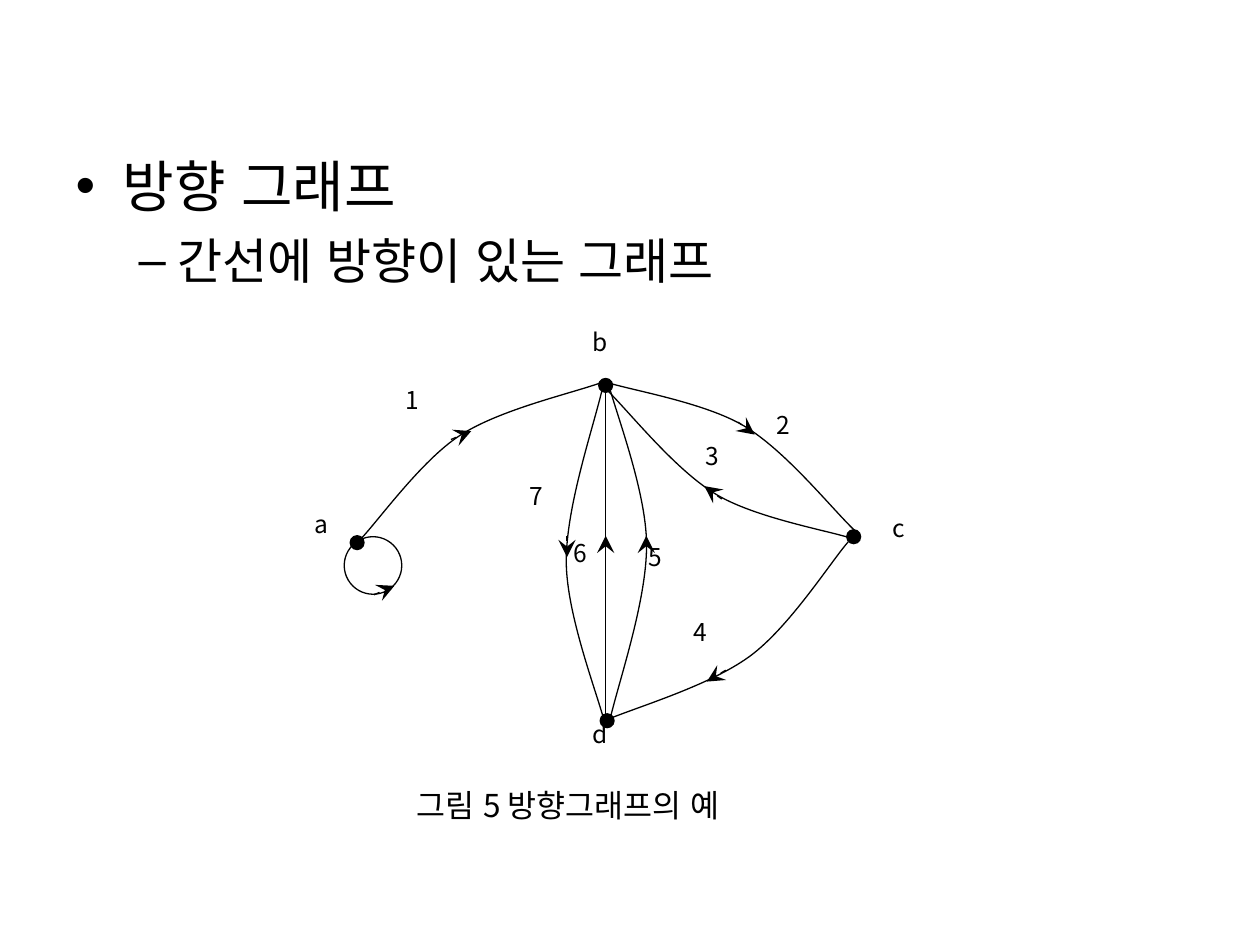
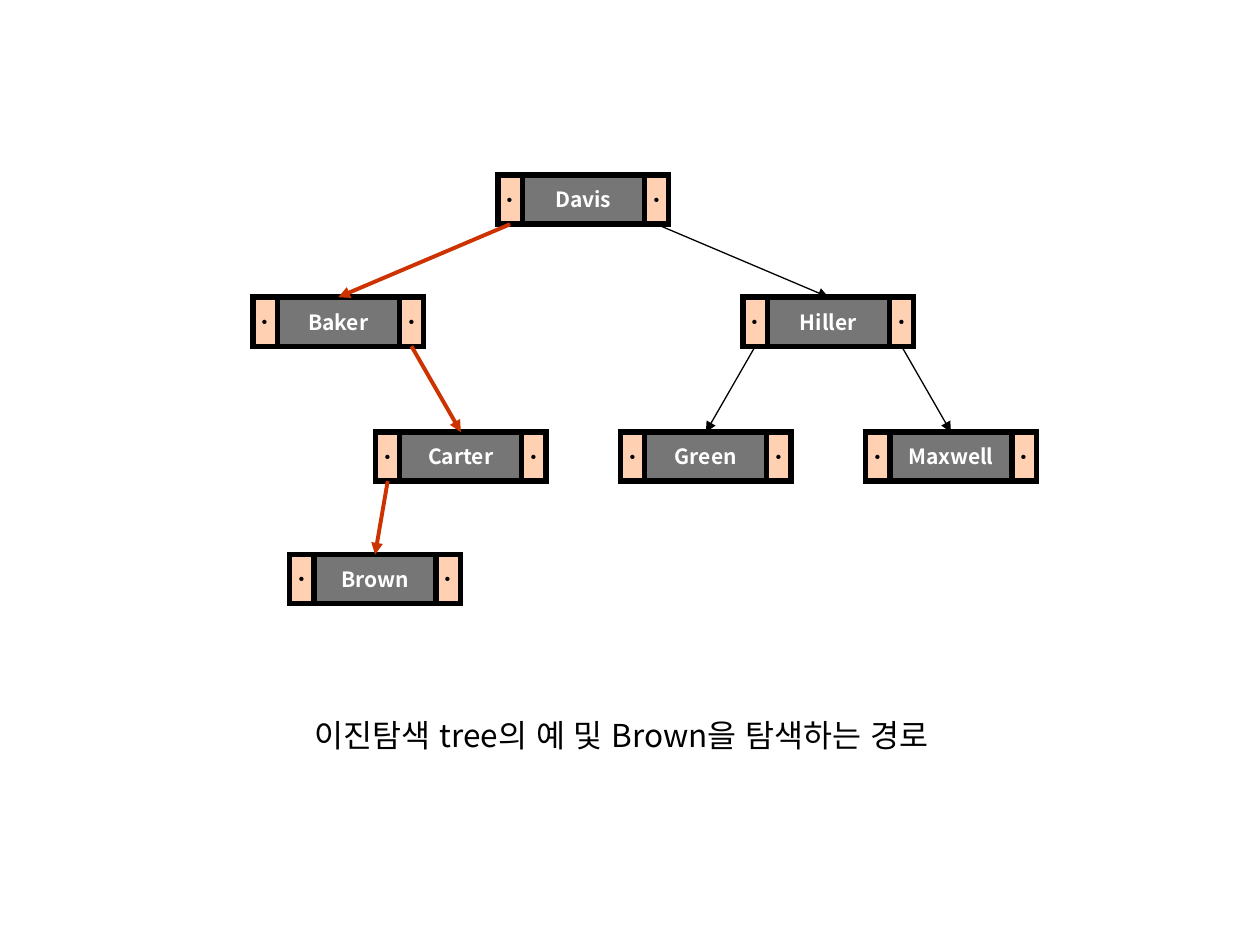
from lxml import etree
from pptx import Presentation
from pptx.dml.color import RGBColor
from pptx.enum.shapes import MSO_CONNECTOR, MSO_SHAPE
from pptx.enum.text import MSO_ANCHOR, MSO_AUTO_SIZE, PP_ALIGN
from pptx.oxml.ns import qn
from pptx.util import Cm, Pt

STRAIGHT = MSO_CONNECTOR.STRAIGHT
OVAL, RECTANGLE = MSO_SHAPE.OVAL, MSO_SHAPE.RECTANGLE
CENTER, MIDDLE = PP_ALIGN.CENTER, MSO_ANCHOR.MIDDLE
BOTTOM_SIDE, TOP_SIDE = 2, 0

FONT = "Noto Sans CJK KR"
COLORS = {"ink": "000000", "paper": "FFFFFF", "pointer": "FF6600",
          "name": "333333", "path": "CC3300"}
THIN, BORDER, BOLD_LINE = 0.75, 3, 2.25

BULLETS = [
    {"text": "방향 그래프", "level": 0, "bullet": "•", "size": 32,
     "indent": 0.95, "hang": 0.95, "before": 0},
    {"text": "간선에 방향이 있는 그래프", "level": 1, "bullet": "–", "size": 28,
     "indent": 2.06, "hang": 0.79, "before": 7},
]
GRAPH_CAPTION = ("그림 5 방향그래프의 예", 8.15, 15.72, 6.96)
TREE_CAPTION = ("이진탐색 tree의 예 및 Brown을 탐색하는 경로", 6.1, 14.3, 13.51)

VERTICES = [(12.21, 7.77), (12.24, 14.53), (17.21, 10.82), (7.2, 10.94)]
VERTEX_SIZE = 0.28
LOOP_CENTER, LOOP_SIZE = (7.52, 11.4), 1.16
ARC = [(0, 1), (0.07, 0.89), (0.25, 0.5), (0.41, 0.34),
       (0.58, 0.17), (0.88, 0.07), (1, 0)]
CURVES = [
    (7.26, 7.7, 4.9, 3.18, 0),
    (12.29, 7.62, 4.9, 3.18, 63.9),
    (11.99, 11.1, 5.23, 3.28, 176),
    (12.24, 7.75, 4.9, 3.18, 244.3),
    (9.25, 9.37, 5.87, 3.61, 301.3),
    (9.3, 9.32, 5.92, 3.63, 121.3),
]
STRAIGHT_EDGE = ((12.21, 7.8), (12.21, 14.43))
DIRECTIONS = [
    ((7.54, 11.99), (7.95, 11.81)), ((9.09, 8.86), (9.5, 8.69)),
    ((14.88, 8.51), (15.21, 8.76)), ((14.55, 10.06), (14.2, 9.8)),
    ((14.63, 13.51), (14.25, 13.74)), ((13.03, 11.23), (13.03, 10.8)),
    ((12.21, 11.23), (12.21, 10.8)), ((11.43, 10.8), (11.43, 11.23)),
]
LABELS = {
    "a": (6.1, 10.13), "b": (11.7, 6.46), "c": (17.75, 10.21), "d": (11.7, 14.36),
    "1": (7.92, 7.63), "2": (15.41, 8.14), "3": (13.97, 8.77), "4": (13.74, 12.32),
    "5": (12.83, 10.8), "6": (11.32, 10.72), "7": (10.42, 9.58),
}

TREE_LEFT, COLUMN_PITCH = 5.1, 2.47
ROW_TOPS = [3.53, 5.99, 8.71, 11.18]
POINTER_WIDTH, NAME_WIDTH, NODE_HEIGHT = 0.49, 2.46, 0.99
NODES = {
    "Davis": (2, 0), "Baker": (0, 1), "Hiller": (4, 1), "Carter": (1, 2),
    "Green": (3, 2), "Maxwell": (5, 2), "Brown": (0.3, 3),
}
LINKS = [
    ("Davis", "left", "Baker", True), ("Davis", "right", "Hiller", False),
    ("Baker", "right", "Carter", True), ("Carter", "left", "Brown", True),
    ("Hiller", "left", "Green", False), ("Hiller", "right", "Maxwell", False),
]


def rgb(name):
    return RGBColor.from_string(COLORS[name])


def add_xml(parent, tag, **attributes):
    return etree.SubElement(parent, qn(tag), attributes)


def write(para, text, size, color="ink", bold=False, align=None):
    para.alignment = align
    span = para.add_run()
    span.text = text
    span.font.size = Pt(size)
    span.font.bold = bold
    span.font.name = FONT
    span.font.color.rgb = rgb(color)
    properties = span.font._element
    properties.set("lang", "ko-KR")
    properties.set("kern", "0")
    add_xml(properties, "a:ea", typeface=FONT)


def add_text(page, text, left, top, width, height, size, wrap=True):
    box = page.shapes.add_textbox(Cm(left), Cm(top), Cm(width), Cm(height))
    box.text_frame.word_wrap = wrap
    box.text_frame.auto_size = MSO_AUTO_SIZE.SHAPE_TO_FIT_TEXT
    write(box.text_frame.paragraphs[0], text, size)


def add_caption(page, text, left, top, width):
    add_text(page, text, left, top, width, 1.02, 18, wrap=False)


def style_shape(shape, fill=None, line_width=THIN, opacity=None):
    shape.shadow.inherit = False
    shape.line.color.rgb = rgb("ink")
    shape.line.width = Pt(line_width)
    add_xml(shape.line._get_or_add_ln(), "a:miter", lim="800000")
    if fill is None:
        shape.fill.background()
        return
    shape.fill.solid()
    shape.fill.fore_color.rgb = rgb(fill)
    if opacity:
        color = shape._element.spPr.find(qn("a:solidFill"))[0]
        add_xml(color, "a:alpha", val=str(opacity * 1000))


def add_circle(page, center, size, fill=None):
    x, y = center
    circle = page.shapes.add_shape(OVAL, Cm(x - size / 2), Cm(y - size / 2),
                                   Cm(size), Cm(size))
    style_shape(circle, fill)


def add_line(page, start=(0, 0), end=(0, 0), color="ink", width=THIN, head=None, head_size="med"):
    points = [Cm(value) for value in (*start, *end)]
    line = page.shapes.add_connector(STRAIGHT, *points)
    line.line.color.rgb = rgb(color)
    line.line.width = Pt(width)
    if head:
        add_xml(line.line._get_or_add_ln(), "a:tailEnd", type=head, w=head_size, len=head_size)
    add_xml(line._element.spPr, "a:effectLst")
    return line


def add_curve(page, left, top, width, height, angle):
    start, *points = [(Cm(left + x * width), Cm(top + y * height)) for x, y in ARC]
    builder = page.shapes.build_freeform(*start)
    builder.add_line_segments(points, close=False)
    curve = builder.convert_to_shape()
    segments = list(curve._element.iter(qn("a:lnTo")))
    for first in range(0, len(segments), 3):
        bend = add_xml(segments[first].getparent(), "a:cubicBezTo")
        for segment in segments[first:first + 3]:
            bend.append(segment[0])
            segment.getparent().remove(segment)
    curve.rotation = angle
    style_shape(curve)


def fill_body(body):
    body.left, body.top, body.width, body.height = Cm(1.27), Cm(2.92), Cm(22.86), Cm(12.57)
    frame = body.text_frame
    frame.auto_size = MSO_AUTO_SIZE.NONE
    for index, item in enumerate(BULLETS):
        para = frame.add_paragraph() if index else frame.paragraphs[0]
        para.level = item["level"]
        properties = para._p.get_or_add_pPr()
        properties.set("marL", str(Cm(item["indent"])))
        properties.set("indent", str(-Cm(item["hang"])))
        add_xml(add_xml(properties, "a:buClr"), "a:srgbClr", val=COLORS["ink"])
        add_xml(properties, "a:buChar", char=item["bullet"])
        para.space_before = Pt(item["before"])
        write(para, item["text"], item["size"])


def build_graph(deck):
    page = deck.slides.add_slide(deck.slide_layouts[1])
    title = page.shapes.title._element
    title.getparent().remove(title)
    fill_body(page.placeholders[1])
    add_caption(page, *GRAPH_CAPTION)
    for center in VERTICES:
        add_circle(page, center, VERTEX_SIZE, "ink")
    for frame in CURVES:
        add_curve(page, *frame)
    add_line(page, *STRAIGHT_EDGE)
    for text, (left, top) in LABELS.items():
        add_text(page, text, left, top, 0.97, 0.86, 14)
    add_circle(page, LOOP_CENTER, LOOP_SIZE)
    for start, end in DIRECTIONS:
        add_line(page, start, end, head="stealth", head_size="lg")


def add_cell(page, text, left, top, width, fill, opacity, size, color):
    cell = page.shapes.add_shape(RECTANGLE, Cm(left), Cm(top), Cm(width), Cm(NODE_HEIGHT))
    style_shape(cell, fill, BORDER, opacity)
    cell.text_frame.word_wrap = False
    cell.text_frame.vertical_anchor = MIDDLE
    write(cell.text_frame.paragraphs[0], text, size, color, bold=True, align=CENTER)
    return cell


def add_node(page, name, column, row):
    left, top = TREE_LEFT + column * COLUMN_PITCH, ROW_TOPS[row]
    name_left = left + POINTER_WIDTH
    pointer = {"width": POINTER_WIDTH, "fill": "pointer", "opacity": 30,
               "size": 14, "color": "ink"}
    return {
        "right": add_cell(page, "ㆍ", name_left + NAME_WIDTH, top, **pointer),
        "name": add_cell(page, name, name_left, top, NAME_WIDTH, "name", 67, 12, "paper"),
        "left": add_cell(page, "ㆍ", left, top, **pointer),
    }


def build_tree(deck):
    page = deck.slides.add_slide(deck.slide_layouts[6])
    nodes = {name: add_node(page, name, *place) for name, place in NODES.items()}
    for parent, side, child, on_path in LINKS:
        color, width = ("path", BOLD_LINE) if on_path else ("ink", THIN)
        link = add_line(page, color=color, width=width, head="triangle")
        link.begin_connect(nodes[parent][side], BOTTOM_SIDE)
        link.end_connect(nodes[child]["name"], TOP_SIDE)
    add_caption(page, *TREE_CAPTION)


def main():
    deck = Presentation()
    deck.slide_width, deck.slide_height = Cm(25.4), Cm(19.05)
    build_graph(deck)
    build_tree(deck)
    deck.save("out.pptx")


if __name__ == "__main__":
    main()
